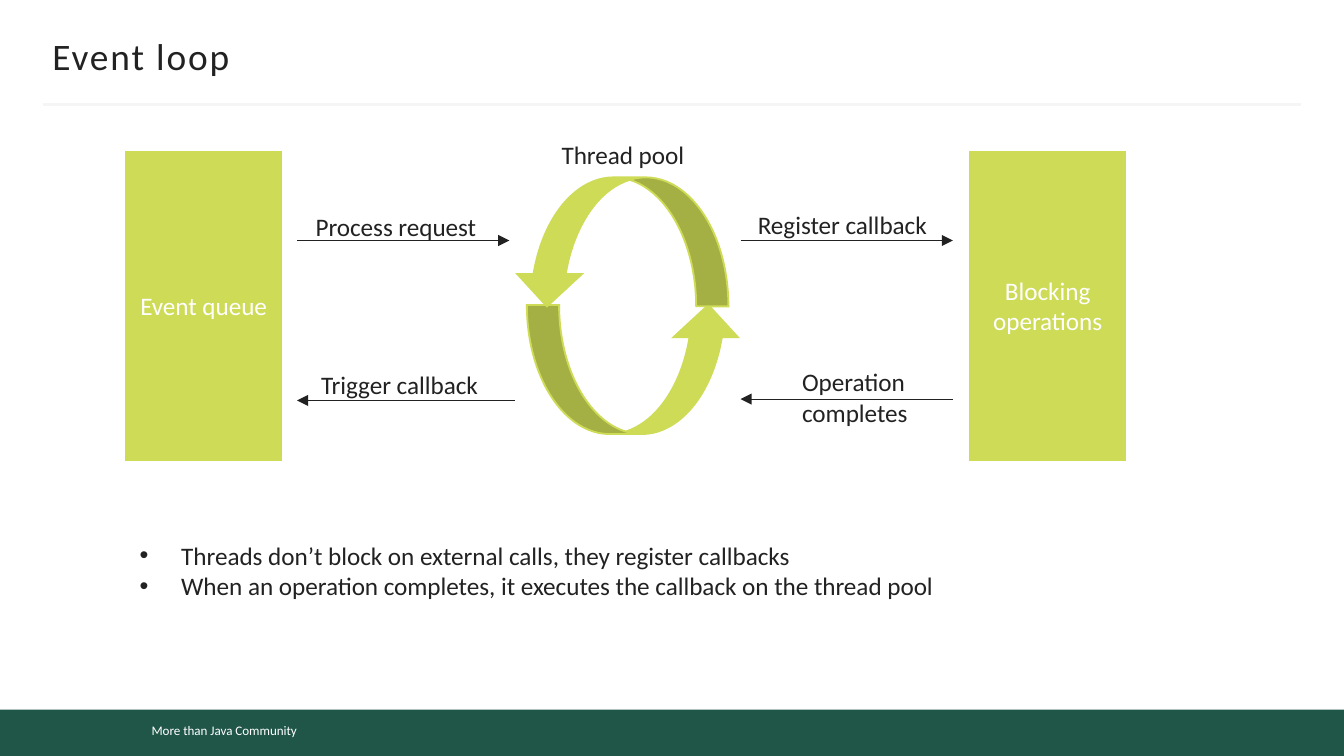
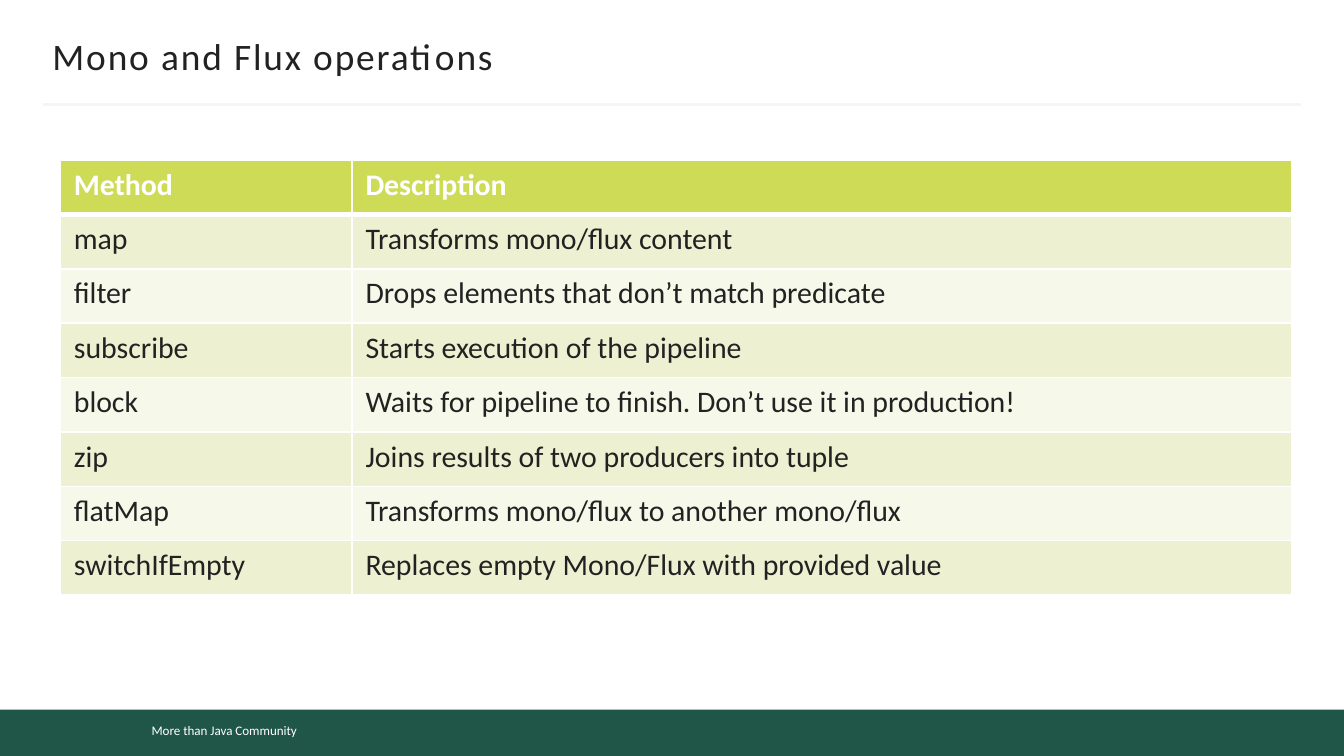
from lxml.etree import SubElement
from pptx import Presentation
from pptx.dml.color import RGBColor
from pptx.enum.shapes import MSO_CONNECTOR, MSO_SHAPE
from pptx.enum.text import MSO_ANCHOR, MSO_AUTO_SIZE, PP_ALIGN
from pptx.oxml.ns import qn
from pptx.util import Inches, Pt

FONT = "Calibri"
WHITE, INK, RULE = "FFFFFF", "222222", "F5F5F5"
GREEN, LIME = "205648", "CEDB56"
BANDS = ("EDF1D1", "F6F8E9")

EVENT_LOOP_POINTS = [
    "Threads don’t block on external calls, they register callbacks",
    "When an operation completes, it executes the callback on the thread pool",
]
OPERATIONS = [
    ("Method", "Description"),
    ("map", "Transforms mono/flux content"),
    ("filter", "Drops elements that don’t match predicate"),
    ("subscribe", "Starts execution of the pipeline"),
    ("block", "Waits for pipeline to finish. Don’t use it in production!"),
    ("zip", "Joins results of two producers into tuple"),
    ("flatMap", "Transforms mono/flux to another mono/flux"),
    ("switchIfEmpty", "Replaces empty Mono/Flux with provided value"),
]


def rgb(value):
    return RGBColor.from_string(value)


def inches(*lengths):
    return [Inches(length) for length in lengths]


def add_run(paragraph, text, size, color, bold=False):
    run = paragraph.add_run()
    run.text = text
    run.font.name = FONT
    run.font.size = Pt(size)
    run.font.bold = bold
    run.font.color.rgb = rgb(color)
    return run


def add_filled(slide, kind, box, fill, outline=None):
    shape = slide.shapes.add_shape(kind, *inches(*box))
    shape.shadow.inherit = False
    shape.fill.solid()
    shape.fill.fore_color.rgb = rgb(fill)
    if outline:
        shape.line.color.rgb = rgb(outline)
        shape.line.width = Pt(1)
        SubElement(shape.element.spPr.find(qn("a:ln")), qn("a:miter"), lim="800000")
    else:
        shape.line.fill.background()
    return shape


def add_line(slide, start, end, color, width, arrow=False):
    connector = slide.shapes.add_connector(MSO_CONNECTOR.STRAIGHT, *inches(*start, *end))
    connector.line.color.rgb = rgb(color)
    connector.line.width = Pt(width)
    properties = connector.element.spPr
    if arrow:
        SubElement(properties.find(qn("a:ln")), qn("a:tailEnd"), type="triangle")
    SubElement(properties, qn("a:effectLst"))


def add_text(slide, box, lines, bulleted=False):
    frame = slide.shapes.add_textbox(*inches(*box)).text_frame
    frame.word_wrap = True
    for index, line in enumerate(lines):
        paragraph = frame.add_paragraph() if index else frame.paragraphs[0]
        add_run(paragraph, line, 13.5, INK)
        if bulleted:
            properties = paragraph._p.get_or_add_pPr()
            indent = Inches(0.31)
            properties.set("marL", str(indent))
            properties.set("indent", str(-indent))
            SubElement(properties, qn("a:buFont"), typeface="Arial")
            SubElement(properties, qn("a:buChar"), char="•")


def add_footer(slide, left, top, width, height):
    add_filled(slide, MSO_SHAPE.RECTANGLE, (left, top, width, height), GREEN)
    label = add_filled(slide, MSO_SHAPE.RECTANGLE,
                       (left + 1.03, top + 0.05, 2.65, 0.22), GREEN)
    label.text_frame.vertical_anchor = MSO_ANCHOR.TOP
    paragraph = label.text_frame.paragraphs[0]
    paragraph.alignment = PP_ALIGN.LEFT
    add_run(paragraph, "More than Java Community", 7, WHITE)


def add_title(slide, text, left, top, width, height):
    title = slide.shapes.title
    title.left, title.top, title.width, title.height = inches(left, top, width, height)
    frame = title.text_frame
    frame.margin_left = frame.margin_right = 0
    frame.margin_top = frame.margin_bottom = Inches(0.05)
    frame.vertical_anchor = MSO_ANCHOR.MIDDLE
    frame.auto_size = MSO_AUTO_SIZE.NONE
    paragraph = frame.paragraphs[0]
    paragraph.alignment = PP_ALIGN.LEFT
    run = add_run(paragraph, text, 20, INK)
    run.font._element.set("spc", "100")


def add_titled_slide(presentation, title):
    """Add a slide with the shared footer, rule and title style."""
    slide = presentation.slides.add_slide(presentation.slide_layouts[5])
    add_footer(slide, 0, 5.28, 10, 0.35)
    add_line(slide, (0.32, 0.78), (9.68, 0.78), RULE, 1.5)
    add_title(slide, title, 0.39, 0.25, 9.22, 0.33)
    return slide


def add_process(slide, text, box):
    process = add_filled(slide, MSO_SHAPE.FLOWCHART_PROCESS, box, LIME, LIME)
    process.text_frame.word_wrap = True
    process.text_frame.vertical_anchor = MSO_ANCHOR.MIDDLE
    paragraph = process.text_frame.paragraphs[0]
    paragraph.alignment = PP_ALIGN.CENTER
    add_run(paragraph, text, 13.5, WHITE)


def add_cycle(slide, left, top):
    """Draw the two curved arrows that turn around the thread pool."""
    add_filled(slide, MSO_SHAPE.CURVED_UP_ARROW,
               (left + 0.09, top + 0.95, 1.59, 0.96), LIME, LIME)
    down = add_filled(slide, MSO_SHAPE.CURVED_DOWN_ARROW,
                      (left, top, 1.59, 0.96), LIME, LIME)
    down.element.spPr.xfrm.set("flipH", "1")


def add_event_loop(slide, left, top, width, height):
    process_width = 1.15
    right = left + width - process_width
    add_process(slide, "Event queue", (left, top, process_width, height))
    add_cycle(slide, left + 2.89, top + 0.19)
    add_process(slide, "Blocking operations", (right, top, process_width, height))

    arrows = [  # start x, end x, y
        (1.27, 2.85, 0.66),
        (2.89, 1.27, 1.85),
        (4.57, 6.15, 0.66),
        (6.15, 4.57, 1.84),
    ]
    for start, end, y in arrows:
        add_line(slide, (left + start, top + y), (left + end, top + y), INK, 0.5, arrow=True)

    labels = [
        ("Process request", 1.31, 0.39, 1.41, 0.33),
        ("Register callback", 4.6, 0.38, 1.55, 0.33),
        ("Operation completes", 4.93, 1.55, 1.43, 0.56),
        ("Trigger callback", 1.35, 1.57, 1.51, 0.33),
        ("Thread pool", 3.14, -0.14, 1.28, 0.33),
    ]
    for text, x, y, label_width, label_height in labels:
        add_text(slide, (left + x, top + y, label_width, label_height), [text])


def style_cell(cell, text, fill, color, bold, top_border, bottom_border):
    properties = cell._tc.get_or_add_tcPr()
    borders = {"a:lnL": 1, "a:lnR": 1, "a:lnT": top_border, "a:lnB": bottom_border}
    for side, width in borders.items():
        line = SubElement(properties, qn(side), w=str(Pt(width)))
        SubElement(SubElement(line, qn("a:solidFill")), qn("a:srgbClr"), val=WHITE)
    cell.fill.solid()
    cell.fill.fore_color.rgb = rgb(fill)
    add_run(cell.text_frame.paragraphs[0], text, 16, color, bold)


def add_operations_table(slide, left, top, width, height):
    method_width = 2.17
    frame = slide.shapes.add_table(len(OPERATIONS), 2, *inches(left, top, width, height))
    table = frame.table
    table.columns[0].width, table.columns[1].width = inches(method_width, width - method_width)
    for row, texts in enumerate(OPERATIONS):
        header = row == 0
        fill = LIME if header else BANDS[(row - 1) % 2]
        for column, text in enumerate(texts):
            style_cell(table.cell(row, column), text, fill,
                       WHITE if header else INK, header,
                       top_border=3 if row == 1 else 1,
                       bottom_border=3 if header else 1)


def main():
    presentation = Presentation()
    presentation.slide_width = Inches(10)
    presentation.slide_height = presentation.slide_width * 9 // 16

    slide = add_titled_slide(presentation, "Event loop")
    add_event_loop(slide, 0.94, 1.13, 7.43, 2.29)
    add_text(slide, (0.94, 3.97, 6.28, 0.56), EVENT_LOOP_POINTS, bulleted=True)

    slide = add_titled_slide(presentation, "Mono and Flux operations")
    add_operations_table(slide, 0.45, 1.19, 9.16, 3.24)

    presentation.save("out.pptx")


if __name__ == "__main__":
    main()
